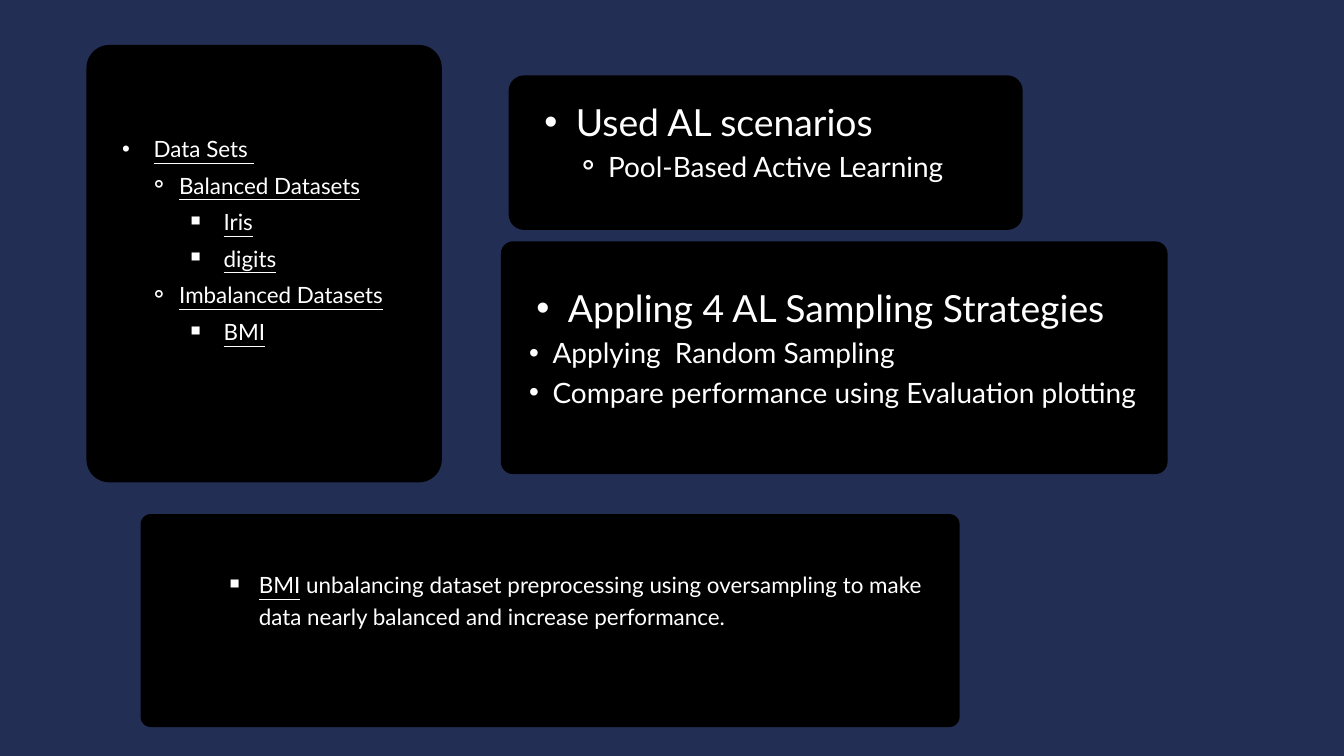
from dataclasses import dataclass

from lxml.etree import SubElement
from pptx import Presentation
from pptx.dml.color import RGBColor
from pptx.enum.shapes import MSO_SHAPE as Shape
from pptx.enum.text import MSO_ANCHOR as Anchor, PP_ALIGN as Align
from pptx.oxml.ns import qn
from pptx.slide import Slide
from pptx.text.text import TextFrame
from pptx.util import Pt

COLORS = {"background": "232E54", "card": "000000", "text": "FFFFFF"}
FONT = "Lato"
INSET = 4.3


@dataclass(frozen=True)
class Style:
    level: int
    bullet: str
    left: float
    hanging: float
    size: float
    spacing: float
    align: Align = Align.LEFT


@dataclass(frozen=True)
class Item:
    """A bullet line whose underlined part comes first."""
    style: Style
    text: str = ""
    underlined: str = ""


@dataclass(frozen=True)
class Card:
    left: float
    top: float
    width: float
    height: float
    radius: float
    text_top: float
    text_height: float
    text_inset: float
    items: tuple[Item, ...]


HEADING = Style(1, "•", 67.7, 33.8, 40, 56)
SCENARIO = Style(2, "⚬", 102.2, 33.8, 30, 42)
STRATEGY = Style(1, "•", 51.1, 25.2, 30, 42)
DATA_HEADING = Style(1, "•", 67.7, 33.8, 24, 56, Align.JUSTIFY)
DATA_GROUP = Style(2, "⚬", 95, 31.7, 24, 39.2, Align.JUSTIFY)
DATA_SET = Style(3, "￭", 142.6, 36, 24, 39.2, Align.JUSTIFY)
NOTE = Style(3, "￭", 122.4, 31, 24, 33.6)

CARDS = (
    Card(545, 80.8, 550.8, 165.6, 16.5, 80.8, 188, 17, (
        Item(HEADING, "Used AL scenarios"),
        Item(SCENARIO, "Pool-Based Active Learning"),
    )),
    Card(92.7, 48.2, 380.7, 468.6, 24.4, 26, 491, 91.5, (
        Item(DATA_HEADING, underlined="Data Sets "),
        Item(DATA_GROUP, underlined="Balanced Datasets"),
        Item(DATA_SET, underlined="Iris"),
        Item(DATA_SET, underlined="digits"),
        Item(DATA_GROUP, underlined="Imbalanced Datasets"),
        Item(DATA_SET, underlined="BMI"),
    )),
    Card(536.6, 258.6, 714.4, 249.4, 13.2, 260, 272, 38, (
        Item(HEADING, "Appling 4 AL Sampling Strategies"),
        Item(STRATEGY, "Applying  Random Sampling"),
        Item(STRATEGY, "Compare performance using Evaluation plotting"),
    )),
    Card(150.6, 550.8, 877.6, 228.2, 11, 530.6, 248.4, 90.6, (
        Item(NOTE, " unbalancing dataset preprocessing using oversampling "
             "to make data nearly balanced and increase performance.", "BMI"),
    )),
)


def color(name: str) -> RGBColor:
    return RGBColor.from_string(COLORS[name])


def write_items(text_frame: TextFrame, items: tuple[Item, ...]) -> None:
    for index, item in enumerate(items):
        paragraph = text_frame.add_paragraph() if index else text_frame.paragraphs[0]
        style = item.style
        properties = paragraph._p.get_or_add_pPr()
        properties.set("marL", str(Pt(style.left)))
        properties.set("indent", str(-Pt(style.hanging)))
        SubElement(properties, qn("a:buFont"), typeface="Arial")
        SubElement(properties, qn("a:buChar"), char=style.bullet)
        paragraph.level = style.level
        paragraph.alignment = style.align
        paragraph.line_spacing = Pt(style.spacing)
        for text, underline in ((item.underlined, True), (item.text, False)):
            if text:
                run = paragraph.add_run()
                run.text = text
                run.font.name = FONT
                run.font.size = Pt(style.size)
                run.font.underline = underline
                run.font.color.rgb = color("text")


def draw_card(slide: Slide, card: Card) -> None:
    group = slide.shapes.add_group_shape()
    panel = group.shapes.add_shape(
        Shape.ROUNDED_RECTANGLE,
        Pt(card.left), Pt(card.top), Pt(card.width), Pt(card.height))
    panel.adjustments[0] = card.radius / min(card.width, card.height)
    panel.shadow.inherit = False
    panel.fill.solid()
    panel.fill.fore_color.rgb = color("card")
    panel.line.fill.background()

    text_box = group.shapes.add_textbox(
        Pt(card.left), Pt(card.text_top), Pt(card.width), Pt(card.text_height))
    text_frame = text_box.text_frame
    text_frame.word_wrap = True
    text_frame.vertical_anchor = Anchor.TOP
    text_frame.margin_left = text_frame.margin_right = Pt(INSET)
    text_frame.margin_top = Pt(card.text_inset)
    text_frame.margin_bottom = Pt(INSET)
    write_items(text_frame, card.items)


def main() -> None:
    presentation = Presentation()
    presentation.slide_width, presentation.slide_height = Pt(1440), Pt(810)
    slide = presentation.slides.add_slide(presentation.slide_layouts[6])
    slide.background.fill.solid()
    slide.background.fill.fore_color.rgb = color("background")
    for card in CARDS:
        draw_card(slide, card)
    presentation.save("out.pptx")


if __name__ == "__main__":
    main()
